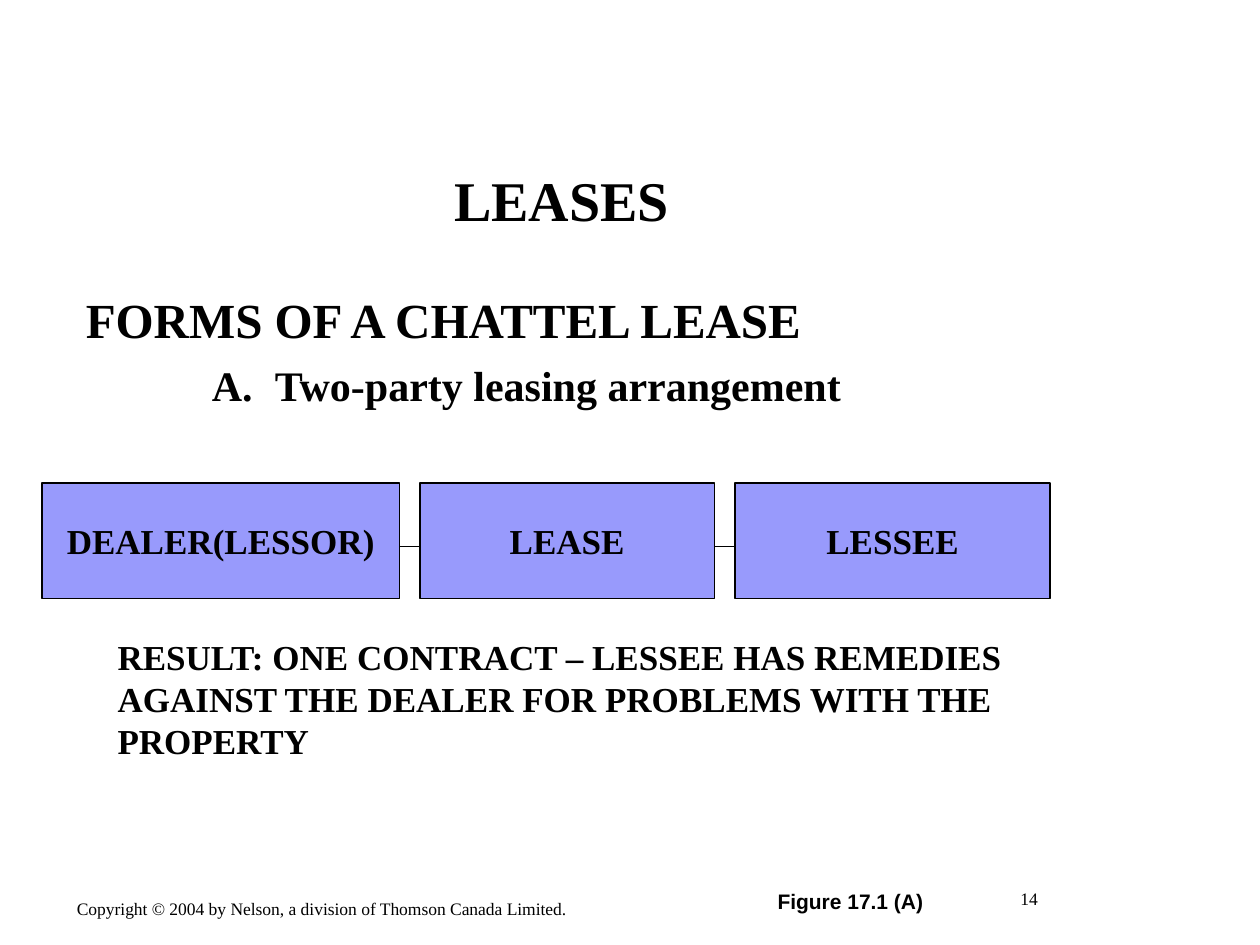
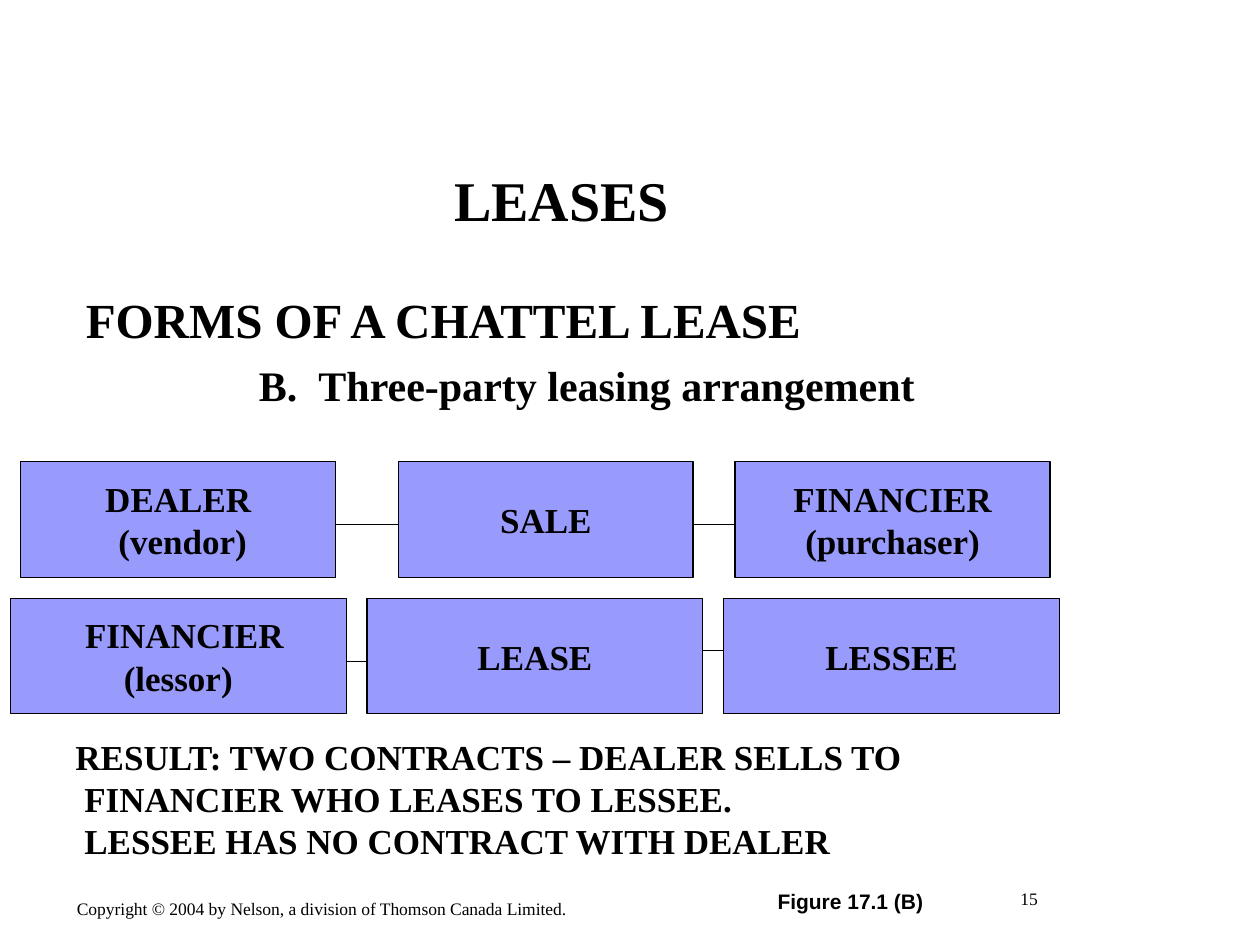
from itertools import pairwise

from lxml.etree import SubElement
from pptx import Presentation
from pptx.dml.color import RGBColor
from pptx.enum.shapes import MSO_CONNECTOR as Connector, MSO_SHAPE as Shape
from pptx.enum.text import MSO_ANCHOR as Anchor, PP_ALIGN as Align
from pptx.oxml.ns import qn
from pptx.util import Cm, Pt

SERIF, SANS = "Times New Roman", "Arial"
BLACK, LILAC = "000000", "989AFC"
LINE_WIDTH = Pt(0.75)
BOX_HEIGHT = 2.33
COPYRIGHT = "Copyright © 2004 by Nelson, a division of Thomson Canada Limited."


def color(value):
    return RGBColor.from_string(value)


def write(shape, lines, sizes, align=Align.LEFT, anchor=Anchor.TOP, bold=True, font=SERIF):
    """Fill a shape with (text, left margin, first-line indent) lines; sizes has one entry per line."""
    frame = shape.text_frame
    frame.word_wrap = True
    frame.vertical_anchor = anchor
    for index, ((text, margin, indent), size) in enumerate(zip(lines, sizes)):
        para = frame.add_paragraph() if index else frame.paragraphs[0]
        para.text = text
        para.alignment = align
        properties = para._p.get_or_add_pPr()
        properties.set("marL", str(Cm(margin)))
        properties.set("indent", str(Cm(indent)))
        para.font.name = font
        para.font.size = Pt(size)
        para.font.bold = bold
        para.font.color.rgb = color(BLACK)


def add_text(page, box, lines, sizes, **style):
    shape = page.shapes.add_textbox(*map(Cm, box))
    write(shape, lines, sizes, **style)
    return shape


def plain(*texts):
    return [(text, 0, 0) for text in texts]


def add_heading(page, form):
    add_text(page, (1.48, 2.75, 19.69, 2.54), plain("LEASES"), [32],
             align=Align.CENTER, anchor=Anchor.MIDDLE)
    body = add_text(page, (1.48, 5.72, 19.69, 11.43),
                    [("FORMS OF A CHATTEL LEASE", 0, 0), form], [28, 24])
    body.text_frame.paragraphs[1].space_before = Pt(6)


def add_footer(page, figure, number):
    add_text(page, (1.3, 17.98, 12, 0.68), plain(COPYRIGHT), [10], bold=False)
    add_text(page, (14.82, 17.78, 4.65, 0.76), plain(figure), [12],
             align=Align.CENTER, font=SANS)
    add_text(page, (17.78, 17.78, 3.39, 1.06), plain(number), [10],
             align=Align.RIGHT, bold=False)


def add_link(page, left, right, y):
    link = page.shapes.add_connector(Connector.STRAIGHT, Cm(left), Cm(y), Cm(right), Cm(y))
    link.line.color.rgb = color(BLACK)
    link.line.width = LINE_WIDTH
    SubElement(link._element.spPr, qn("a:effectLst"))


def add_chain(page, top, parties, drops=(1.27, 1.27)):
    """Draw (left, width, lines) parties in a row, linked at the given drops below its top."""
    for left, width, lines in parties:
        party = page.shapes.add_shape(Shape.RECTANGLE, Cm(left), Cm(top), Cm(width), Cm(BOX_HEIGHT))
        party.shadow.inherit = False
        party.fill.solid()
        party.fill.fore_color.rgb = color(LILAC)
        party.line.color.rgb = color(BLACK)
        party.line.width = LINE_WIDTH
        write(party, lines, [20] * len(lines), align=Align.CENTER, anchor=Anchor.MIDDLE)
    for ((left, width, _), (next_left, _, _)), drop in zip(pairwise(parties), drops):
        add_link(page, left + width, next_left, top + drop)


def add_result(page, box, lines):
    add_text(page, box, lines, [20] * len(lines), anchor=Anchor.MIDDLE)


def add_two_party(page):
    add_heading(page, ("A.\tTwo-party leasing arrangement", 3.81, -1.27))
    add_chain(page, 9.74, [
        (0.85, 7.2, plain("DEALER(LESSOR)")),
        (8.47, 5.93, plain("LEASE")),
        (14.82, 6.35, plain("LESSEE")),
    ])
    add_result(page, (2.12, 13.34, 20.32, 1.48), plain(
        "RESULT: ONE CONTRACT – LESSEE HAS REMEDIES",
        "AGAINST THE DEALER FOR PROBLEMS WITH THE",
        "PROPERTY"))
    add_footer(page, "Figure 17.1 (A)", "14")


def add_three_party(page):
    add_heading(page, ("B.\tThree-party leasing arrangement", 4.69, -1.2))
    add_chain(page, 9.31, [
        (0.42, 6.35, [("DEALER", 0, 0), ("(vendor)", 0.18, 0)]),
        (8.04, 5.93, plain("SALE")),
        (14.82, 6.35, plain("FINANCIER", "(purchaser)")),
    ])
    width, gap = 6.77, 0.42
    parties = [[("FINANCIER", 0.25, 0), ("(lessor)", 0, 0)], plain("LEASE"), plain("LESSEE")]
    add_chain(page, 12.06, [(0.21 + index * (width + gap), width, lines)
                            for index, lines in enumerate(parties)], drops=(1.27, 1.06))
    add_result(page, (1.27, 15.24, 21.17, 1.7), [
        ("RESULT: TWO CONTRACTS – DEALER SELLS TO", 0, 0),
        ("FINANCIER WHO LEASES TO LESSEE.", 0.18, 0),
        ("LESSEE HAS NO CONTRACT WITH DEALER", 0.18, 0)])
    add_footer(page, "Figure 17.1 (B)", "15")


def main():
    deck = Presentation()
    deck.slide_width, deck.slide_height = Cm(25.4), Cm(19.05)
    for build in (add_two_party, add_three_party):
        build(deck.slides.add_slide(deck.slide_layouts[6]))
    deck.save("out.pptx")


if __name__ == "__main__":
    main()
